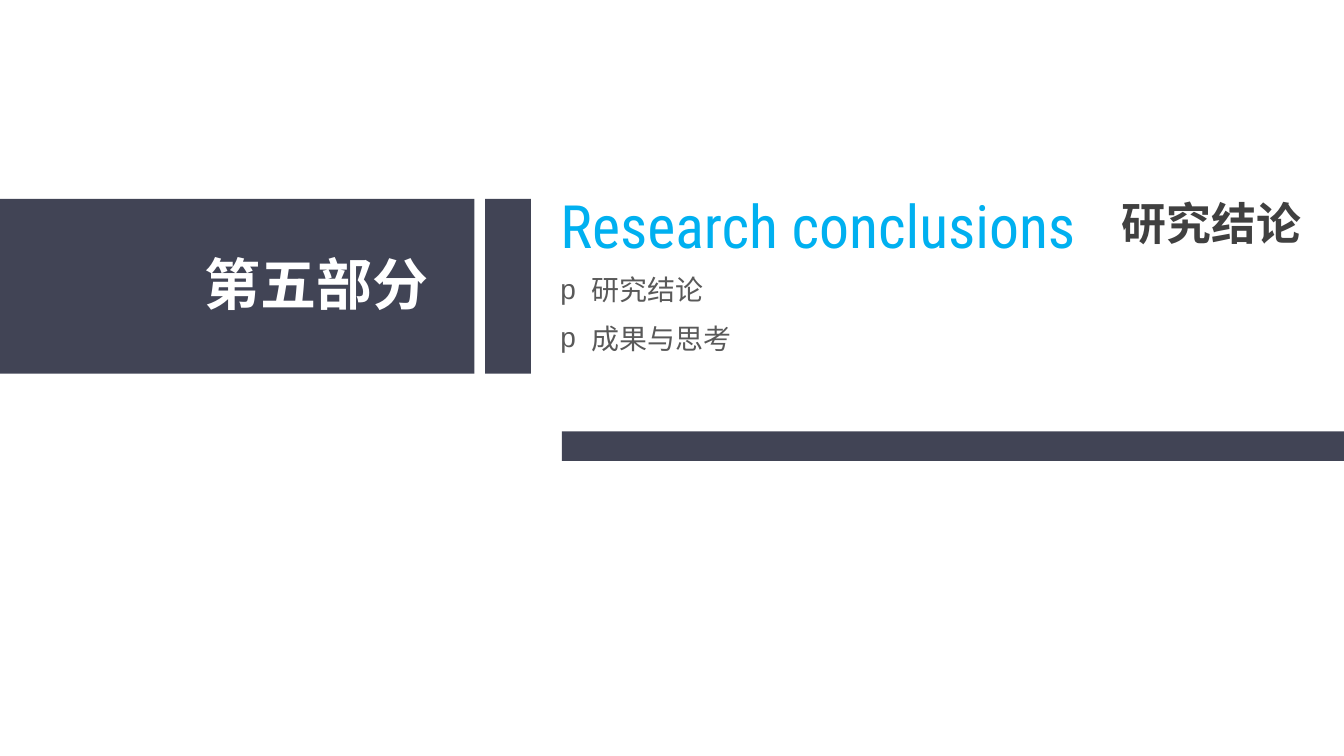
import dataclasses

import lxml.etree
import pptx
import pptx.dml.color
import pptx.enum.shapes
import pptx.enum.text
import pptx.oxml.ns
import pptx.util


@dataclasses.dataclass(frozen=True)
class Theme:
    dark: str = "414455"
    accent: str = "00B0F0"
    white: str = "FFFFFF"
    heading: str = "404040"
    body: str = "595959"
    latin: str = "Roboto Condensed"
    chinese: str = "Noto Sans CJK SC"
    bullet: str = "Arial"
    title_size: int = 32
    part_size: int = 30
    heading_size: int = 24
    body_size: int = 15


def color(value):
    return pptx.dml.color.RGBColor.from_string(value)


def write(para, text, *, size, ink, font, bold=False):
    """Add one formatted span to a paragraph."""
    para.alignment = pptx.enum.text.PP_ALIGN.LEFT
    span = para.add_run()
    span.text = text
    span.font.size = pptx.util.Pt(size)
    span.font.bold = bold
    span.font.color.rgb = color(ink)
    span.font.name = font
    east = lxml.etree.SubElement(span.font._element, pptx.oxml.ns.qn("a:ea"))
    east.set("typeface", font)


class Page:
    """Places elements on a grid of square cells, a tenth of an inch wide."""

    CELL = 0.1

    def __init__(self, deck, theme):
        self.theme = theme
        self.slide = deck.slides.add_slide(deck.slide_layouts[1])

    def place(self, *cells):
        return [pptx.util.Inches(cell * self.CELL) for cell in cells]

    def bar(self, *area):
        kind = pptx.enum.shapes.MSO_SHAPE.RECTANGLE
        box = self.slide.shapes.add_shape(kind, *self.place(*area))
        box.shadow.inherit = False
        box.fill.solid()
        box.fill.fore_color.rgb = color(self.theme.dark)
        box.line.fill.background()

    def prepare(self, box):
        frame = box.text_frame
        frame.word_wrap = False
        frame.auto_size = pptx.enum.text.MSO_AUTO_SIZE.NONE
        frame.vertical_anchor = pptx.enum.text.MSO_ANCHOR.TOP
        frame.margin_left = frame.margin_right = pptx.util.Inches(0.04)
        frame.margin_top = frame.margin_bottom = pptx.util.Inches(0.04)
        return frame

    def fit(self, box, area):
        box.left, box.top, box.width, box.height = self.place(*area)
        return self.prepare(box)

    def title(self, text, *area):
        frame = self.fit(self.slide.shapes.title, area)
        write(frame.paragraphs[0], text, size=self.theme.title_size,
              ink=self.theme.accent, font=self.theme.latin)

    def label(self, text, *area, size, ink):
        box = self.slide.shapes.add_textbox(*self.place(*area))
        write(self.prepare(box).paragraphs[0], text, size=size, ink=ink,
              font=self.theme.chinese, bold=True)

    def bullets(self, items, *area, indent, gap):
        frame = self.fit(self.slide.placeholders[1], area)
        for index, item in enumerate(items):
            para = frame.add_paragraph() if index else frame.paragraphs[0]
            self.mark(para, indent)
            para.space_before = pptx.util.Pt(gap if index else 0)
            write(para, item, size=self.theme.body_size,
                  ink=self.theme.body, font=self.theme.chinese)

    def mark(self, para, indent):
        properties = para._p.get_or_add_pPr()
        hang = self.place(indent)[0]
        properties.set("marL", str(hang))
        properties.set("indent", str(-hang))
        for tag, key, value in (("a:buFont", "typeface", self.theme.bullet),
                                ("a:buChar", "char", "p")):
            element = lxml.etree.SubElement(properties, pptx.oxml.ns.qn(tag))
            element.set(key, value)


def main():
    theme = Theme()
    deck = pptx.Presentation()
    deck.slide_width = pptx.util.Inches(10)
    deck.slide_height = deck.slide_width * 9 // 16
    page = Page(deck, theme)

    # Part banner: wide block and narrow block on the same band
    band_top, band_height = 14.8, 13
    for left, width in ((0, 35.3), (36.1, 3.4)):
        page.bar(left, band_top, width, band_height)
    page.label("第五部分", 14.8, 18.2, 17.6, 6.6,
               size=theme.part_size, ink=theme.white)

    # Headings in both languages
    text_left = 41.3
    page.title("Research conclusions", text_left, 13.65, 41.5, 6.2)
    page.label("研究结论", 83.05, 14.15, 14.2, 5.3,
               size=theme.heading_size, ink=theme.heading)

    # Contents of this part
    page.bullets(["研究结论", "成果与思考"], text_left, 19.9, 13.7, 7.3,
                 indent=2.3, gap=8)

    # Rule running to the right edge
    page.bar(41.8, 32.1, 58.2, 2.2)

    deck.save("out.pptx")


if __name__ == "__main__":
    main()
